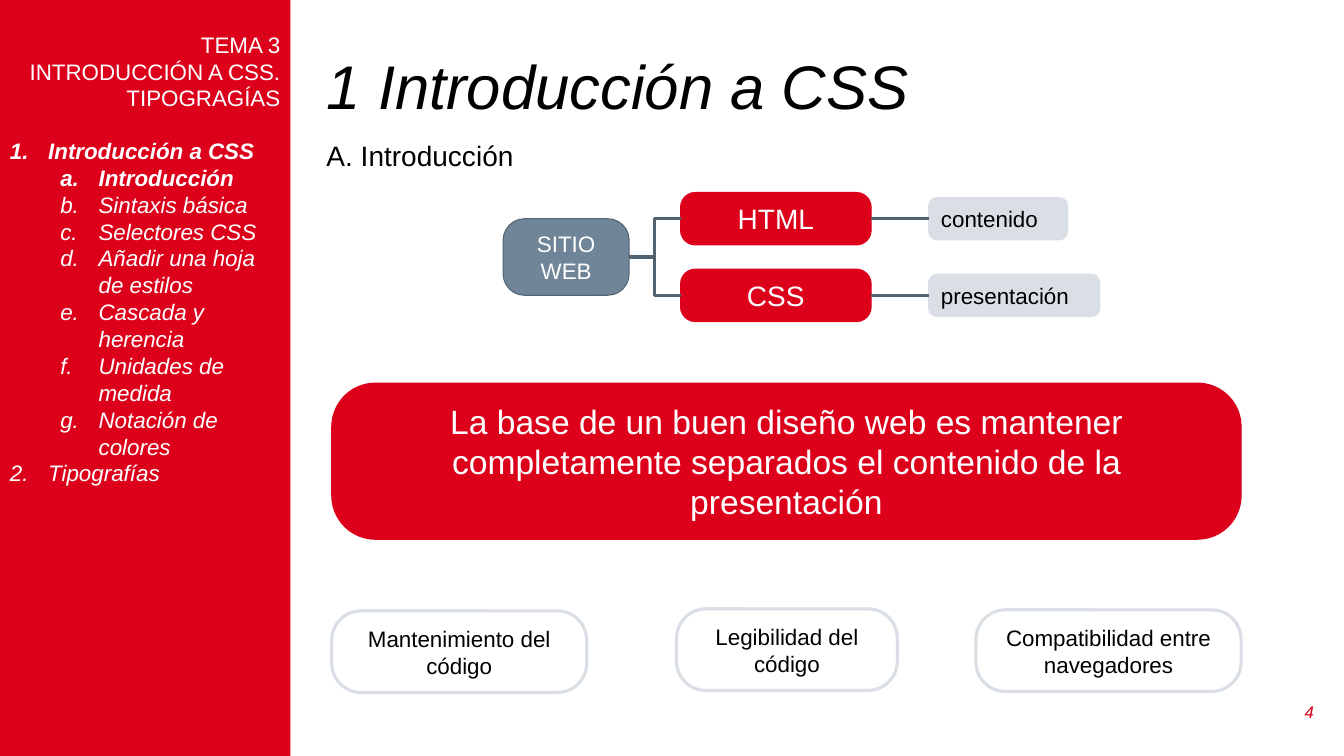
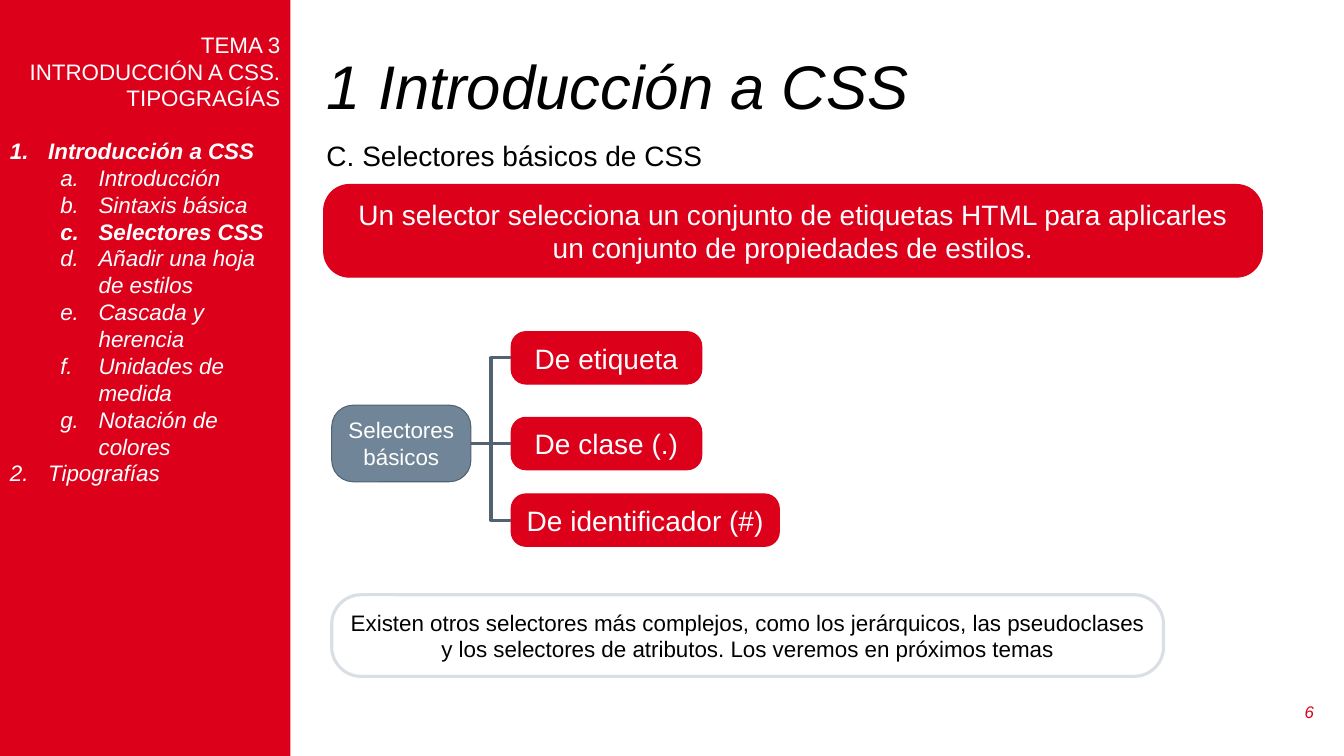
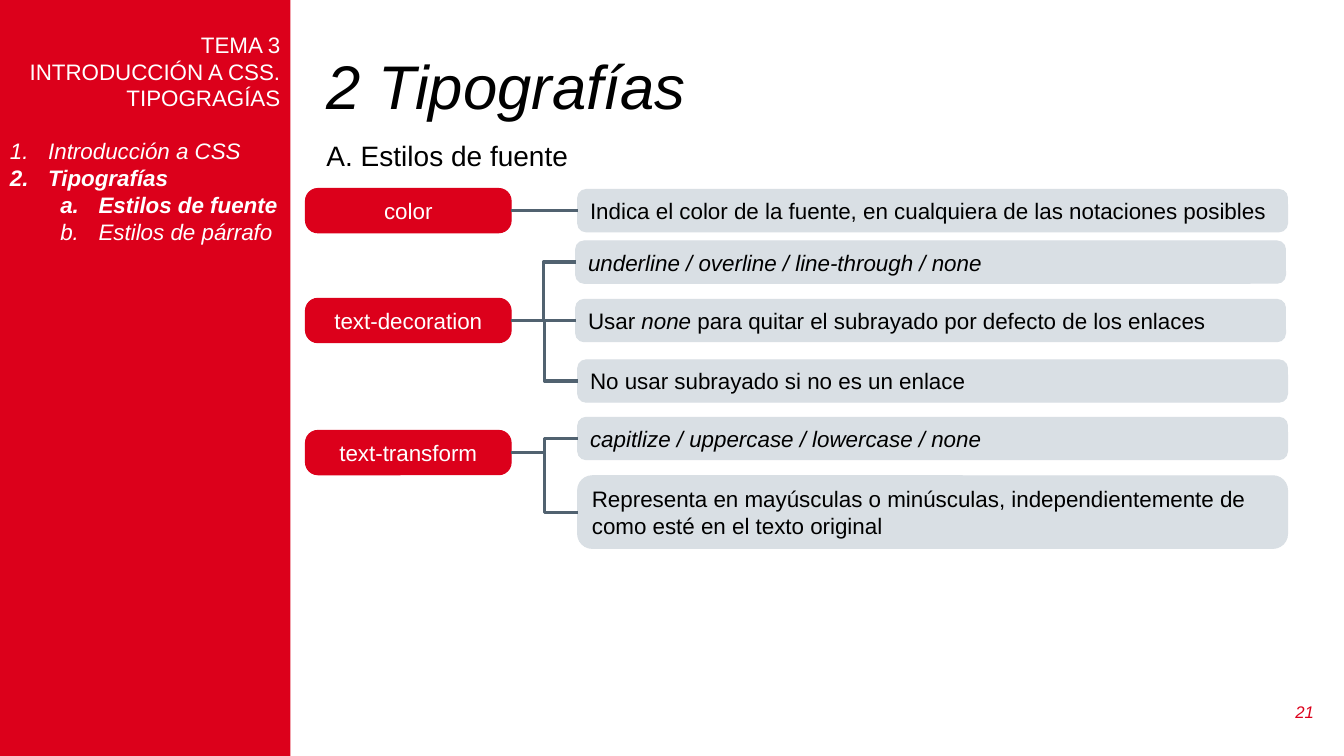
from dataclasses import dataclass

from lxml import etree
from pptx import Presentation
from pptx.dml.color import RGBColor
from pptx.enum import shapes as es, text as et
from pptx.oxml import ns
from pptx.util import Inches, Pt

INK = {"red": "DC001B", "slate": "708698", "dark": "516270",
       "pale": "D9DFE4", "white": "FFFFFF", "black": "000000"}
FONT = "Arial"
LEFT, MID, RIGHT = et.PP_ALIGN.LEFT, et.PP_ALIGN.CENTER, et.PP_ALIGN.RIGHT
LINE = Pt(18.4)  # height of one 16 pt line


@dataclass(frozen=True)
class Look:
    fill: str | None
    edge: str
    ink: str
    size: int
    round: float
    align: et.PP_ALIGN = MID
    width: float = 0.75


@dataclass(frozen=True)
class Box:
    text: str
    x: float
    y: float
    w: float
    h: float
    look: Look


@dataclass(frozen=True)
class Tree:
    root: Box
    kids: tuple


@dataclass(frozen=True)
class Item:
    text: str
    level: int = 0


@dataclass(frozen=True)
class Page:
    title: str
    topic: str
    number: int
    menu: tuple
    bold: tuple
    boxes: tuple = ()
    trees: tuple = ()


BANNER = Look("red", "red", "white", 24, 0.28)
CLAIM = Look("red", "red", "white", 20, 0.28)
TERM = Look("red", "red", "white", 16, 0.28)
ROOT = Look("slate", "dark", "white", 16, 0.28)
NOTE = Look("pale", "pale", "black", 16, 0.2, LEFT)
FRAME = Look(None, "pale", "black", 16, 0.36, MID, 2.25)


def rgb(name: str) -> RGBColor:
    return RGBColor.from_string(INK[name])


def style(para, size: int, ink: str, align=LEFT, bold=False, italic=None) -> None:
    """Format a paragraph's runs; italic None leaves each run's slant alone."""
    para.alignment = align
    for run in para.runs:
        font = run.font
        font.name, font.size, font.bold = FONT, Pt(size), bold
        font.color.rgb = rgb(ink)
        if italic is not None:
            font.italic = italic


def place(shape, x: float, y: float, w: float, h: float) -> None:
    shape.left, shape.top, shape.width, shape.height = map(Inches, (x, y, w, h))


def label(slide, text: str, area: tuple, size: int, ink: str,
          align=LEFT, anchor=et.MSO_ANCHOR.TOP, italic=False) -> None:
    frame = slide.shapes.add_textbox(*map(Inches, area)).text_frame
    frame.word_wrap = True
    frame.vertical_anchor = anchor
    frame.text = text
    style(frame.paragraphs[0], size, ink, align, italic=italic)


def draw_box(slide, box: Box):
    """Draw a rounded box; text between asterisks is italic."""
    look = box.look
    shape = slide.shapes.add_shape(
        es.MSO_SHAPE.ROUNDED_RECTANGLE, *map(Inches, (box.x, box.y, box.w, box.h)))
    shape.adjustments[0] = look.round
    shape.shadow.inherit = False
    if look.fill:
        shape.fill.solid()
        shape.fill.fore_color.rgb = rgb(look.fill)
    else:
        shape.fill.background()
    shape.line.color.rgb = rgb(look.edge)
    shape.line.width = Pt(look.width)
    shape.text_frame.word_wrap = True
    para = shape.text_frame.paragraphs[0]
    for i, part in enumerate(box.text.split("*")):
        if part:
            run = para.add_run()
            run.text = part
            run.font.italic = i % 2 == 1
    style(para, look.size, look.ink, look.align)
    return shape


def join(slide, start, end) -> None:
    """Link the right side of one box to the left side of another."""
    rise = (end.top + end.height / 2) - (start.top + start.height / 2)
    level = abs(rise) < Inches(0.01)
    kind = es.MSO_CONNECTOR.STRAIGHT if level else es.MSO_CONNECTOR.ELBOW
    link = slide.shapes.add_connector(kind, 0, 0, 0, 0)
    link.begin_connect(start, 3)
    link.end_connect(end, 1)
    link.line.color.rgb = rgb("dark")
    link.line.width = Pt(2.25)
    etree.SubElement(link.element.spPr, ns.qn("a:effectLst"))


def draw_tree(slide, node: Tree | Box):
    if isinstance(node, Box):
        return draw_box(slide, node)
    root = draw_box(slide, node.root)
    for kid in node.kids:
        join(slide, root, draw_tree(slide, kid))
    return root


def number(para, level: int) -> None:
    """Give a menu line its indent and automatic number or letter."""
    props = para._p.get_or_add_pPr()
    props.set("marL", str(Inches(0.38 + 0.5 * level)))
    props.set("indent", str(-Inches(0.38)))
    color = etree.SubElement(props, ns.qn("a:buClr"))
    etree.SubElement(color, ns.qn("a:srgbClr"), val=INK["white"])
    etree.SubElement(props, ns.qn("a:buFont"), typeface="+mj-lt")
    kind = "alphaLcPeriod" if level else "arabicPeriod"
    etree.SubElement(props, ns.qn("a:buAutoNum"), type=kind)


def draw_menu(slide, menu: tuple, bold: tuple) -> None:
    band = slide.shapes.add_shape(es.MSO_SHAPE.RECTANGLE, 0, 0, Inches(2.88), Inches(7.5))
    band.shadow.inherit = False
    band.fill.solid()
    band.fill.fore_color.rgb = rgb("red")
    band.line.fill.background()
    frame = band.text_frame
    frame.word_wrap = True
    frame.vertical_anchor = et.MSO_ANCHOR.TOP
    frame.margin_top = Inches(0.05) + LINE
    heads = ("TEMA 3", "INTRODUCCIÓN A CSS. TIPOGRAGÍAS")
    frame.text = "\n".join((*heads, *(item.text for item in menu)))
    paras = frame.paragraphs
    for para in paras[:len(heads)]:
        style(para, 16, "white", RIGHT)
    rows = paras[len(heads):]
    rows[0].space_before = LINE
    for para, item in zip(rows, menu):
        para.level = item.level
        style(para, 16, "white", bold=item.text in bold, italic=True)
        number(para, item.level)


def draw_page(deck, page: Page) -> None:
    slide = deck.slides.add_slide(deck.slide_layouts[5])
    title = slide.shapes.title
    place(title, 3.14, 0.5, 9.99, 0.78)
    frame = title.text_frame
    frame.text = page.title
    frame.word_wrap = True
    frame.auto_size = et.MSO_AUTO_SIZE.NONE
    frame.vertical_anchor = et.MSO_ANCHOR.MIDDLE
    frame.paragraphs[0].line_spacing = 0.9
    style(frame.paragraphs[0], 44, "black", italic=True)
    draw_menu(slide, page.menu, page.bold)
    label(slide, str(page.number), (12.62, 6.86, 0.51, 0.4), 12, "red",
          RIGHT, et.MSO_ANCHOR.MIDDLE, True)
    label(slide, page.topic, (3.14, 1.33, 7.46, 0.44), 20, "black")
    for box in page.boxes:
        draw_box(slide, box)
    for tree in page.trees:
        draw_tree(slide, tree)


def claim(text: str, x: float, y: float, w: float = 1.89) -> Box:
    return Box(text, x, y, w, 0.52, CLAIM)


def term(text: str, y: float) -> Box:
    return Box(text, 3.03, y, 2.04, 0.44, TERM)


def note(text: str, y: float, x: float = 5.73, w: float = 7.04, h: float = 0.42) -> Box:
    return Box(text, x, y, w, h, NOTE)


def frame_box(text: str, x: float, y: float, w: float) -> Box:
    return Box(text, x, y, w, 0.81, FRAME)


INTRO, TYPE = Item("Introducción a CSS"), Item("Tipografías")
CSS_MENU = (INTRO, *(Item(text, 1) for text in (
    "Introducción", "Sintaxis básica", "Selectores CSS", "Añadir una hoja de estilos",
    "Cascada y herencia", "Unidades de medida", "Notación de colores")), TYPE)
TYPE_MENU = (INTRO, TYPE, Item("Estilos de fuente", 1), Item("Estilos de párrafo", 1))

PAGES = (
    Page(
        "1 Introducción a CSS", "A. Introducción", 4,
        CSS_MENU, (INTRO.text, "Introducción"),
        boxes=(
            Box("La base de un buen diseño web es mantener completamente separados "
                "el contenido de la presentación", 3.29, 3.8, 9.02, 1.55, BANNER),
            frame_box("Mantenimiento del código", 3.29, 6.06, 2.53),
            frame_box("Legibilidad del código", 6.71, 6.04, 2.19),
            frame_box("Compatibilidad entre navegadores", 9.68, 6.05, 2.63),
        ),
        trees=(Tree(Box("SITIO WEB", 4.99, 2.17, 1.25, 0.76, ROOT), (
            Tree(claim("HTML", 6.75, 1.91), (note("contenido", 1.96, 9.21, 1.38),)),
            Tree(claim("CSS", 6.75, 2.67), (note("presentación", 2.72, 9.21, 1.7),)),
        )),),
    ),
    Page(
        "1 Introducción a CSS", "C. Selectores básicos de CSS", 6,
        CSS_MENU, (INTRO.text, "Selectores CSS"),
        boxes=(
            Box("Un selector selecciona un conjunto de etiquetas HTML para aplicarles "
                "un conjunto de propiedades de estilos.", 3.21, 1.83, 9.31, 0.92, CLAIM),
            frame_box("Existen otros selectores más complejos, como los jerárquicos, "
                      "las pseudoclases y los selectores de atributos. Los veremos en "
                      "próximos temas", 3.29, 5.9, 8.25),
        ),
        trees=(Tree(Box("Selectores básicos", 3.29, 4.02, 1.38, 0.76, ROOT), (
            claim("De etiqueta", 5.07, 3.29),
            claim("De clase (.)", 5.07, 4.14),
            claim("De identificador (#)", 5.07, 4.9, 2.66),
        )),),
    ),
    Page(
        "2 Tipografías", "A. Estilos de fuente", 21,
        TYPE_MENU, (TYPE.text, "Estilos de fuente"),
        trees=(
            Tree(term("color", 1.87), (
                note("Indica el color de la fuente, en cualquiera de las notaciones "
                     "posibles", 1.88),
            )),
            Tree(term("text-decoration", 2.96), (
                note("*underline / overline / line-through / none*", 2.39, 5.71),
                note("Usar *none* para quitar el subrayado por defecto de los enlaces",
                     2.97, 5.71),
                note("No usar subrayado si no es un enlace", 3.57),
            )),
            Tree(term("text-transform", 4.27), (
                note("*capitlize / uppercase / lowercase / none*", 4.14),
                note("Representa en mayúsculas o minúsculas, independientemente de "
                     "como esté en el texto original", 4.72, h=0.72),
            )),
        ),
    ),
)


def main() -> None:
    deck = Presentation()
    deck.slide_width, deck.slide_height = Inches(13.33), Inches(7.5)
    for page in PAGES:
        draw_page(deck, page)
    deck.save("out.pptx")


if __name__ == "__main__":
    main()
